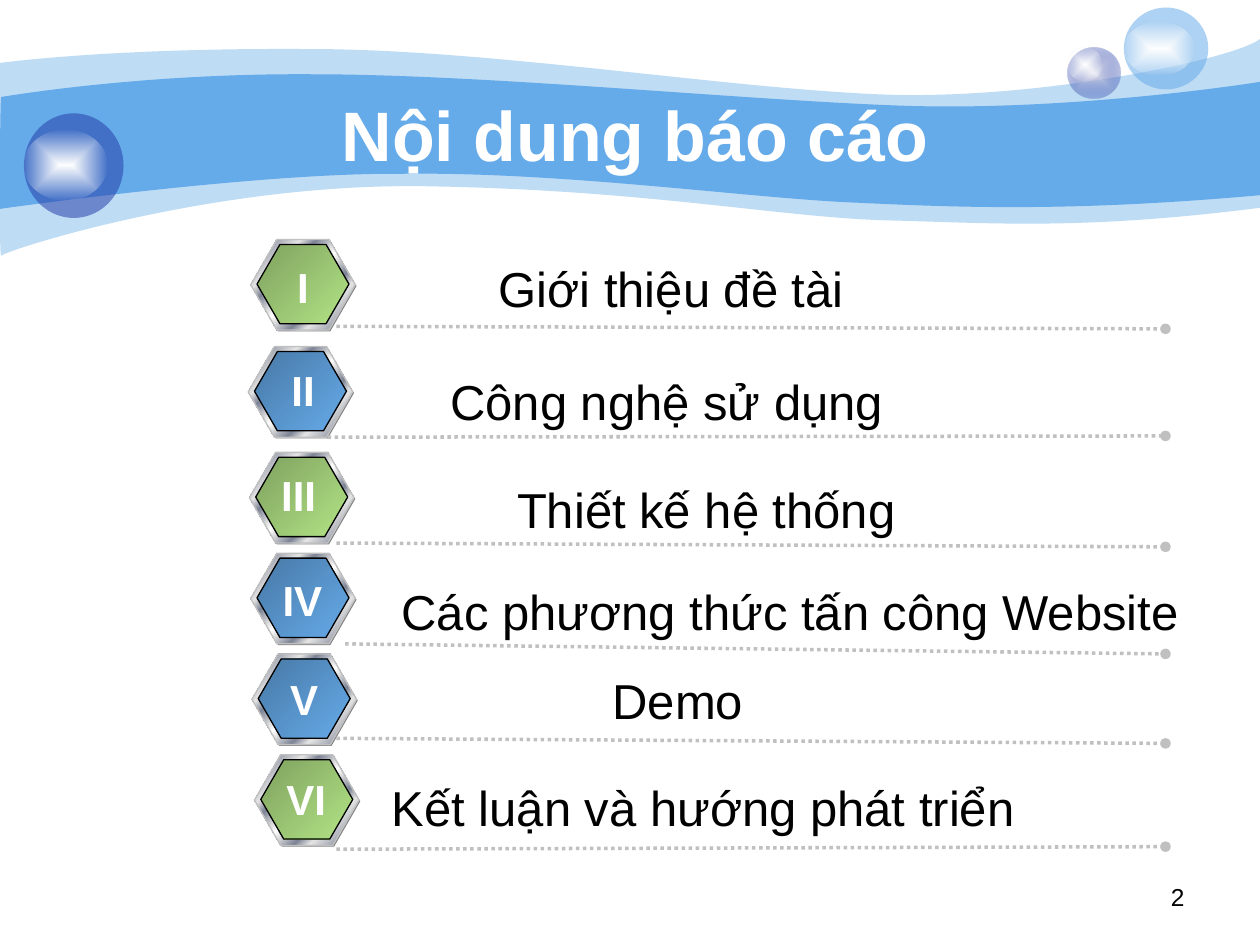
import dataclasses

import lxml.etree
import pptx
import pptx.dml.color
import pptx.enum.dml
import pptx.enum.shapes
import pptx.enum.text
import pptx.oxml.ns
import pptx.util

Inches = pptx.util.Inches
Pt = pptx.util.Pt
Kind = pptx.enum.shapes.MSO_SHAPE
Align = pptx.enum.text.PP_ALIGN
Anchor = pptx.enum.text.MSO_ANCHOR
qn = pptx.oxml.ns.qn


@dataclasses.dataclass(frozen=True)
class Theme:
    font: str = "Arial"
    sky: str = "65AAE9"
    navy: str = "233DA9"
    white: str = "FFFFFF"
    black: str = "000000"
    gray: str = "808080"
    silver: str = "C0C0C0"
    pale: str = "E1E2ED"
    green: tuple = ((0, "B2E385", "a:shade", 46.28), (100, "B2E385"))
    blue: tuple = ((0, "65AAE9", "a:shade", 46.28), (100, "65AAE9"))
    metal: tuple = (
        (0, "E6E6E6"), (7, "7D8496"), (26, "E6E6E6"), (34, "7D8496"),
        (46, "E6E6E6"), (50, "FFFFFF"), (54, "E6E6E6"), (66, "7D8496"),
        (74, "E6E6E6"), (93, "7D8496"), (100, "E6E6E6"),
    )
    glow: tuple = ((0, "FFFFFF"), (100, "FFFFFF", "a:alpha", 0))
    title: int = 40
    label: int = 28
    mark: int = 24
    page: int = 14


THEME = Theme()

WAVES = [
    (41, (0, 0.5), [
        ((0.24, 0.47), (1.07, 0.38), (2.47, 0.39)),
        ((3.86, 0.39), (5.75, 0.7), (6.99, 0.75)),
        ((8.22, 0.8), (9.8, 0.47), (10, 0.31)),
        ((10, 1.65),),
        ((8.58, 1.83), (7.87, 1.77), (7.05, 1.75)),
        ((6.22, 1.73), (5.15, 1.51), (3.43, 1.48)),
        ((1.72, 1.44), (0.04, 1.99), (0.01, 2.03)),
        ((-0.01, 2.08), (0, 0.75), (0, 0.5)),
    ]),
    (100, (0.01, 0.77), [
        ((0.02, 0.77), (1.1, 0.58), (2.48, 0.59)),
        ((3.86, 0.59), (5.95, 0.8), (7.18, 0.84)),
        ((8.41, 0.88), (9.76, 0.69), (10, 0.65)),
        ((10, 1.55),),
        ((8.53, 1.68), (7.65, 1.65), (6.82, 1.61)),
        ((5.99, 1.58), (4.47, 1.36), (3.17, 1.38)),
        ((2.03, 1.37), (-0.02, 1.66), (-0.01, 1.66)),
        ((0, 1.66), (0, 0.77), (0.01, 0.77)),
    ]),
]

ROWS = [
    ("I", "Giới thiệu đề tài ", THEME.green, (1.99, 1.9),
     (2.26, 2.03, 0.29), (2.92, 2, 4.92), (2.67, 2.59, 2.61)),
    ("II", "Công nghệ sử dụng", THEME.blue, (1.97, 2.75),
     (2.21, 2.84, 0.39), (2.83, 2.9, 4.92), (2.6, 3.47, 3.46)),
    ("III", "Thiết kế hệ thống", THEME.green, (1.98, 3.59),
     (2.13, 3.68, 0.48), (2.94, 3.76, 5.33), (2.67, 4.31, 4.34)),
    ("IV", "Các phương thức tấn công Website", THEME.blue, (1.99, 4.39),
     (2.14, 4.51, 0.52), (2.87, 4.57, 6.8), (2.74, 5.11, 5.19)),
    ("V", "Demo", THEME.blue, (2, 5.19),
     (2.2, 5.3, 0.43), (2.92, 5.27, 4.92), (2.67, 5.86, 5.9)),
    ("VI", "Kết luận và hướng phát triển", THEME.green, (2.02, 5.99),
     (2.17, 6.09, 0.52), (2.83, 6.12, 5.5), (2.67, 6.74, 6.72)),
]


def rgb(code):
    return pptx.dml.color.RGBColor.from_string(code)


def add_node(base, tag, **attrs):
    node = lxml.etree.SubElement(base, qn(tag))
    for name, value in attrs.items():
        node.set(name, str(value))
    return node


def tune(color, tag, value):
    add_node(color, tag, val=round(value * 1000))


def fill_flat(shape, color, alpha=100):
    shape.fill.solid()
    shape.fill.fore_color.rgb = rgb(color)
    if alpha < 100:
        solid = shape.element.spPr.find(qn("a:solidFill"))
        tune(solid.find(qn("a:srgbClr")), "a:alpha", alpha)


def fill_blend(shape, stops, round_=False):
    shape.fill.gradient()
    grad = shape.element.spPr.find(qn("a:gradFill"))
    for child in list(grad):
        grad.remove(child)
    group = add_node(grad, "a:gsLst")
    for place, color, *change in stops:
        stop = add_node(group, "a:gs", pos=place * 1000)
        tint = add_node(stop, "a:srgbClr", val=color)
        if change:
            tune(tint, *change)
    if round_:
        form = add_node(grad, "a:path", path="shape")
        add_node(form, "a:fillToRect", l=50000, t=50000, r=50000, b=50000)
    else:
        add_node(grad, "a:lin", ang=45 * 60000, scaled=1)


def set_line(shape, color=None):
    shape.shadow.inherit = False
    if color is None:
        shape.line.fill.background()
    else:
        shape.line.color.rgb = rgb(color)
        shape.line.width = Pt(0.75)


def add_form(shapes, kind, box, line=None):
    shape = shapes.add_shape(kind, *map(Inches, box))
    set_line(shape, line)
    return shape


def add_wave(slide, alpha, start, parts):
    xs, ys = zip(start, *(point for part in parts for point in part))
    left, top, right, low = map(Inches, (min(xs), min(ys), max(xs), max(ys)))
    form = slide.shapes.build_freeform(left, top)
    form.add_line_segments([(right, top), (right, low), (left, low)], close=True)
    wave = form.convert_to_shape()
    trace = next(wave.element.spPr.iter(qn("a:path")))
    for child in list(trace):
        trace.remove(child)
    for part in [(start,), *parts]:
        tag = "a:cubicBezTo" if len(part) == 3 else "a:lnTo"
        step = add_node(trace, "a:moveTo" if part == (start,) else tag)
        for x, y in part:
            add_node(step, "a:pt", x=Inches(x) - left, y=Inches(y) - top)
    add_node(trace, "a:close")
    set_line(wave)
    fill_flat(wave, THEME.sky, alpha)


def add_ball(slide, box, shine, color, alpha=53, stops=None):
    shapes = slide.shapes.add_group_shape().shapes
    ball = add_form(shapes, Kind.OVAL, box)
    if stops:
        fill_blend(ball, stops, round_=True)
    else:
        fill_flat(ball, color, alpha)
    fill_blend(add_form(shapes, Kind.OVAL, shine), THEME.glow, round_=True)


def add_badge(slide, left, top, stops):
    shapes = slide.shapes.add_group_shape().shapes
    base = add_form(shapes, Kind.HEXAGON, (left + 0.01, top + 0.01, 0.83, 0.72))
    rim = add_form(shapes, Kind.HEXAGON, (left, top, 0.83, 0.72), THEME.silver)
    face = add_form(shapes, Kind.HEXAGON, (left + 0.05, top + 0.04, 0.73, 0.63), THEME.black)
    for shape in (base, rim, face):
        shape.adjustments[0] = 0.289
    fill_flat(base, THEME.gray)
    fill_blend(rim, THEME.metal)
    fill_blend(face, stops)


def add_rule(slide, left, top, end):
    rule = slide.shapes.add_connector(
        pptx.enum.shapes.MSO_CONNECTOR.STRAIGHT, *map(Inches, (left, top, 9.25, end)))
    rule.line.color.rgb = rgb(THEME.silver)
    rule.line.width = Pt(2)
    rule.line.dash_style = pptx.enum.dml.MSO_LINE.ROUND_DOT
    frame = rule.element.spPr
    add_node(frame.find(qn("a:ln")), "a:tailEnd", type="oval")
    add_node(frame, "a:effectLst")


def add_text(slide, text, box, size, color=THEME.black, bold=False,
             align=Align.CENTER, anchor=Anchor.TOP, wrap=True):
    frame = slide.shapes.add_textbox(*map(Inches, box)).text_frame
    frame.word_wrap = wrap
    frame.vertical_anchor = anchor
    line = frame.paragraphs[0]
    line.alignment = align
    run = line.add_run()
    run.text = text
    run.font.name = THEME.font
    run.font.size = Pt(size)
    run.font.bold = bold
    run.font.color.rgb = rgb(color)


def main():
    deck = pptx.Presentation()
    deck.slide_width, deck.slide_height = Inches(10), Inches(7.5)
    slide = deck.slides.add_slide(deck.slide_layouts[6])
    for wave in WAVES:
        add_wave(slide, *wave)
    add_ball(slide, (8.47, 0.38, 0.42, 0.4), (8.47, 0.38, 0.28, 0.27), THEME.navy,
             stops=((0, THEME.pale), (100, THEME.navy, "a:alpha", 31)))
    add_ball(slide, (8.92, 0.06, 0.67, 0.65), (8.92, 0.17, 0.56, 0.43), THEME.sky)
    add_ball(slide, (0.19, 0.9, 0.79, 0.83), (0.19, 1.03, 0.66, 0.56), THEME.navy)
    add_text(slide, "Nội dung báo cáo", (1, 0.75, 8.08, 0.62), THEME.title,
             color=THEME.white, bold=True, anchor=Anchor.MIDDLE)
    for mark, label, stops, spot, (x, y, wide), (left, top, width), rule in ROWS:
        add_badge(slide, *spot, stops)
        add_rule(slide, *rule)
        add_text(slide, label, (left, top, width, 0.57), THEME.label)
        add_text(slide, mark, (x, y, wide, 0.5), THEME.mark,
                 color=THEME.white, bold=True, wrap=False)
    add_text(slide, "2", (7.17, 6.95, 2.33, 0.35), THEME.page, align=Align.RIGHT)
    deck.save("out.pptx")


if __name__ == "__main__":
    main()
